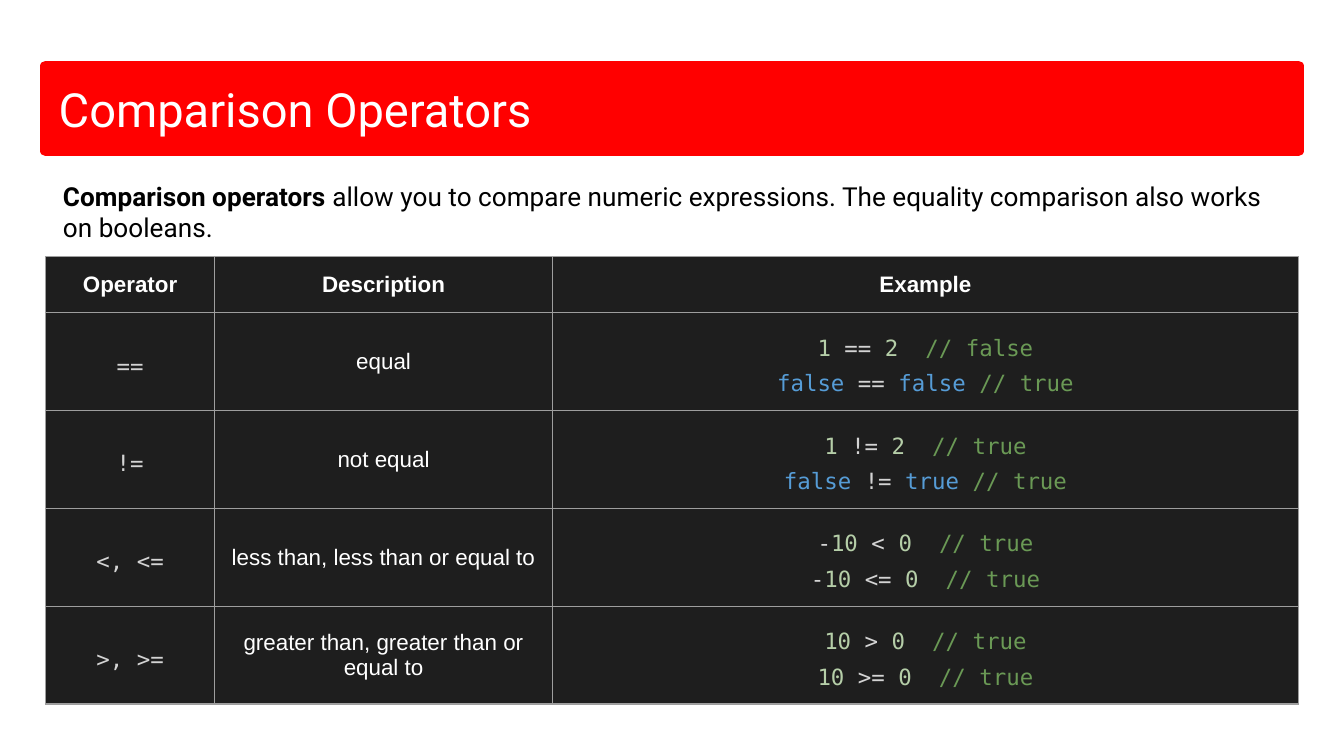
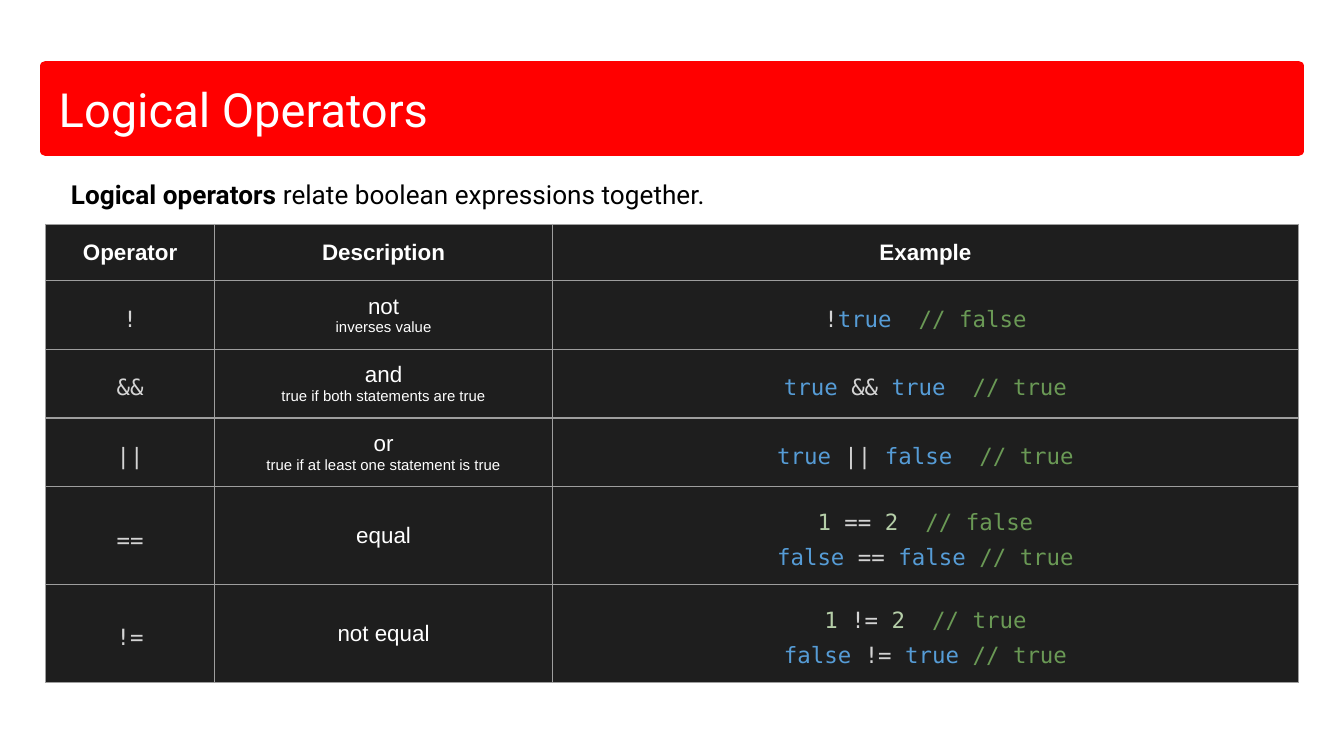
"""Builds two slides that list comparison and logical operators in tables."""
from itertools import groupby

from lxml import etree
from pptx import Presentation
from pptx.dml.color import RGBColor
from pptx.enum import text
from pptx.oxml import ns
from pptx.util import Cm, Pt

RED = RGBColor(0xFF, 0x00, 0x00)
WHITE = RGBColor(0xFF, 0xFF, 0xFF)
BLACK = RGBColor(0x00, 0x00, 0x00)
CELL = RGBColor(0x1E, 0x1E, 0x1E)
BORDER = RGBColor(0x9E, 0x9E, 0x9E)
CODE = RGBColor(0xD4, 0xD4, 0xD4)
NUMBER = RGBColor(0xB5, 0xCE, 0xA8)
KEYWORD = RGBColor(0x56, 0x9C, 0xD6)
COMMENT = RGBColor(0x6A, 0x99, 0x55)

HEADING_FONT, TABLE_FONT, CODE_FONT = "Roboto", "Arial", "DejaVu Sans Mono"
INSET = Cm(0.25)
TITLE_BOX = (Cm(0.86), Cm(1.25), Cm(23.68), Cm(1.6))
COLUMN_WIDTHS = (Cm(3.2), Cm(6.38), Cm(14.1))
HEADER_HEIGHT, SINGLE_HEIGHT, DOUBLE_HEIGHT = Cm(1.06), Cm(1.3), Cm(1.84)

HEADERS = ("Operator", "Description", "Example")
EQUALITY = [
    ("==", ["equal"], ["1 == 2  // false", "false == false // true"]),
    ("!=", ["not equal"], ["1 != 2  // true", "false != true // true"]),
]
COMPARISON = EQUALITY + [
    ("<, <=", ["less than, less than or equal to"],
     ["-10 < 0  // true", "-10 <= 0  // true"]),
    (">, >=", ["greater than, greater than or equal to"],
     ["10 > 0  // true", "10 >= 0  // true"]),
]
LOGICAL = [
    ("!", ["not", "inverses value"], ["!true  // false"]),
    ("&&", ["and", "true if both statements are true"], ["true && true  // true"]),
    ("||", ["or", "true if at least one statement is true"],
     ["true || false  // true"]),
] + EQUALITY


def add_span(para, words, font, size, color, bold=False):
    """Append one formatted run to a paragraph."""
    span = para.add_run()
    span.text = words
    span.font.name = font
    span.font.size = Pt(size)
    span.font.bold = bold
    span.font.color.rgb = color


def prepare_placeholder(holder, box, anchor):
    """Place a placeholder and return its first paragraph, left aligned without a bullet."""
    holder.left, holder.top, holder.width, holder.height = box
    frame = holder.text_frame
    frame.word_wrap = True
    frame.auto_size = text.MSO_AUTO_SIZE.NONE
    frame.vertical_anchor = anchor
    frame.margin_left = frame.margin_right = INSET
    frame.margin_top = frame.margin_bottom = INSET
    para = frame.paragraphs[0]
    para.alignment = text.PP_ALIGN.LEFT
    para.space_before = Pt(0)
    properties = para._p.get_or_add_pPr()
    properties.set("marL", "0")
    properties.set("indent", "0")
    etree.SubElement(properties, ns.qn("a:buNone"))
    return para


def fill_title(page, title):
    """Write the title on its red band."""
    holder = page.shapes.title
    para = prepare_placeholder(holder, TITLE_BOX, text.MSO_ANCHOR.MIDDLE)
    add_span(para, title, HEADING_FONT, 25.2, WHITE)
    holder.fill.solid()
    holder.fill.fore_color.rgb = RED
    holder.line.color.rgb = RED
    holder.line.width = Pt(6)


def fill_lead(page, box, term, rest):
    """Write the introduction with its term in bold."""
    para = prepare_placeholder(page.placeholders[1], box, text.MSO_ANCHOR.TOP)
    add_span(para, term, HEADING_FONT, 14, BLACK, bold=True)
    add_span(para, rest, HEADING_FONT, 14, BLACK)


def token_color(letter):
    """Give the syntax colour for a character of code."""
    if letter.isdigit():
        return NUMBER
    return KEYWORD if letter.isalpha() else CODE


def write_code(para, line):
    """Write a line of code with syntax colours."""
    para.line_spacing = 1.36
    code, mark, remark = line.partition("//")
    for color, letters in groupby(code, token_color):
        add_span(para, "".join(letters), CODE_FONT, 12, color)
    if mark:
        add_span(para, mark + remark, CODE_FONT, 12, COMMENT)


def cell_paragraphs(cell, count):
    """Yield the centred paragraphs of a cell."""
    frame = cell.text_frame
    for index in range(count):
        para = frame.add_paragraph() if index else frame.paragraphs[0]
        para.alignment = text.PP_ALIGN.CENTER
        yield para


def style_cell(cell):
    """Give a cell its margins, borders and dark fill."""
    cell.vertical_anchor = text.MSO_ANCHOR.MIDDLE
    cell.margin_left = cell.margin_right = INSET
    cell.margin_top = cell.margin_bottom = INSET
    properties = cell._tc.get_or_add_tcPr()
    for side in ("lnL", "lnR", "lnT", "lnB"):
        border = etree.SubElement(properties, ns.qn(f"a:{side}"), w=str(Pt(0.75)))
        fill = etree.SubElement(border, ns.qn("a:solidFill"))
        etree.SubElement(fill, ns.qn("a:srgbClr"), val=str(BORDER))
    cell.fill.solid()
    cell.fill.fore_color.rgb = CELL


def add_operator_table(page, left, top, entries):
    """Add the table with one row for each operator."""
    heights = [HEADER_HEIGHT] + [
        DOUBLE_HEIGHT if len(examples) > 1 else SINGLE_HEIGHT
        for _, _, examples in entries
    ]
    table = page.shapes.add_table(
        len(heights), len(COLUMN_WIDTHS), left, top, sum(COLUMN_WIDTHS), sum(heights)
    ).table
    table.first_row = table.horz_banding = False
    for column, width in zip(table.columns, COLUMN_WIDTHS):
        column.width = width
    for row, height in zip(table.rows, heights):
        row.height = height
    for cell in table.iter_cells():
        style_cell(cell)
    for cell, header in zip(table.rows[0].cells, HEADERS):
        for para in cell_paragraphs(cell, 1):
            add_span(para, header, TABLE_FONT, 12, WHITE, bold=True)
    for index, (operator, description, examples) in enumerate(entries, 1):
        for column, lines in ((0, [operator]), (2, examples)):
            paragraphs = cell_paragraphs(table.cell(index, column), len(lines))
            for para, line in zip(paragraphs, lines):
                write_code(para, line)
        paragraphs = cell_paragraphs(table.cell(index, 1), len(description))
        for para, line, size in zip(paragraphs, description, (12, 8)):
            add_span(para, line, TABLE_FONT, size, WHITE)


def add_operator_page(deck, title, lead_box, term, rest, entries):
    """Add a slide with a title, an introduction and the table right below it."""
    page = deck.slides.add_slide(deck.slide_layouts[1])
    fill_title(page, title)
    fill_lead(page, lead_box, term, rest)
    _, top, _, height = lead_box
    add_operator_table(page, TITLE_BOX[0], top + height, entries)


def main():
    """Build and save the deck."""
    deck = Presentation()
    deck.slide_width, deck.slide_height = Cm(25.4), Cm(14.29)
    add_operator_page(
        deck, "Comparison Operators", (Cm(0.94), Cm(3.15), Cm(23.5), Cm(1.7)),
        "Comparison operators ",
        "allow you to compare numeric expressions. "
        "The equality comparison also works on booleans.",
        COMPARISON,
    )
    add_operator_page(
        deck, "Logical Operators", (Cm(1.09), Cm(3.12), Cm(23.44), Cm(1.12)),
        "Logical operators", " relate boolean expressions together.", LOGICAL,
    )
    deck.save("out.pptx")


if __name__ == "__main__":
    main()
